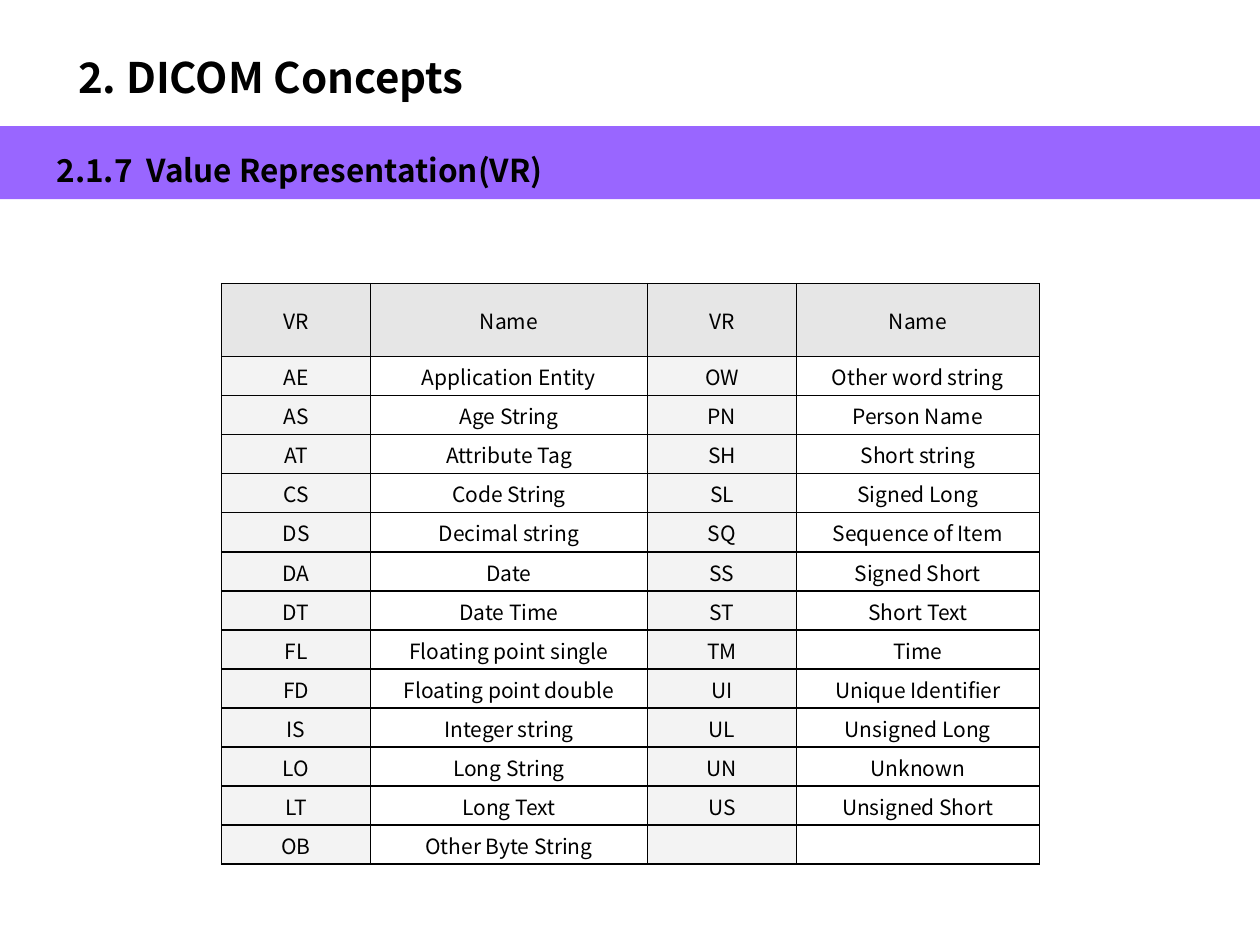
from lxml import etree
from pptx import Presentation
from pptx.dml.color import RGBColor
from pptx.enum.shapes import MSO_SHAPE
from pptx.enum.text import MSO_ANCHOR, PP_ALIGN
from pptx.oxml.ns import qn
from pptx.util import Inches, Pt

CENTER, LEFT = PP_ALIGN.CENTER, PP_ALIGN.LEFT
MIDDLE = MSO_ANCHOR.MIDDLE
RECTANGLE = MSO_SHAPE.RECTANGLE
TITLE_ONLY = 5

TITLE = "2. DICOM Concepts"
SUBTITLE = "2.1.7  Value Representation(VR)"
HEADER = ("VR", "Name")
VALUES = [
    ("AE", "Application Entity"), ("AS", "Age String"),
    ("AT", "Attribute Tag"), ("CS", "Code String"),
    ("DS", "Decimal string"), ("DA", "Date"),
    ("DT", "Date Time"), ("FL", "Floating point single"),
    ("FD", "Floating point double"), ("IS", "Integer string"),
    ("LO", "Long String"), ("LT", "Long Text"),
    ("OB", "Other Byte String"), ("OW", "Other word string"),
    ("PN", "Person Name"), ("SH", "Short string"),
    ("SL", "Signed Long"), ("SQ", "Sequence of Item"),
    ("SS", "Signed Short"), ("ST", "Short Text"),
    ("TM", "Time"), ("UI", "Unique Identifier"),
    ("UL", "Unsigned Long"), ("UN", "Unknown"),
    ("US", "Unsigned Short"),
]

FONT = "Noto Sans CJK KR"
COLORS = {"text": "000000", "band": "9966FF", "header": "E6E6E6",
          "code": "F3F3F3", "border": "000000"}
COL_WIDTHS = (1.18, 2.2, 1.18, 1.93)
HEADER_HEIGHT, ROW_HEIGHT = 0.58, 0.31
TABLE_LEFT, TABLE_TOP = 1.76, 2.25


def rgb(name):
    return RGBColor.from_string(COLORS[name])


def add_text(tf, text, size, bold=False, align=LEFT):
    p = tf.paragraphs[0]
    p.alignment = align
    r = p.add_run()
    r.text = text
    r.font.name, r.font.size, r.font.bold = FONT, Pt(size), bold
    r.font.color.rgb = rgb("text")


def add_borders(cell, width=1):
    """Draw all four edges; must run before the cell gets its fill."""
    tcPr = cell._tc.get_or_add_tcPr()
    for edge in ("a:lnL", "a:lnR", "a:lnT", "a:lnB"):
        ln = etree.SubElement(tcPr, qn(edge), w=str(Pt(width)))
        fill = etree.SubElement(ln, qn("a:solidFill"))
        etree.SubElement(fill, qn("a:srgbClr"), val=COLORS["border"])


def format_cell(cell, text, fill):
    cell.vertical_anchor = MIDDLE
    cell.margin_left = cell.margin_right = cell.margin_top = Inches(0.01)
    cell.margin_bottom = 0
    add_borders(cell)
    if fill:
        cell.fill.solid()
        cell.fill.fore_color.rgb = rgb(fill)
    else:
        cell.fill.background()
    if text:
        add_text(cell.text_frame, text, 12, align=CENTER)
    else:  # keeps an empty cell from stretching its row
        end = cell.text_frame.paragraphs[0]._p.get_or_add_endParaRPr()
        end.set("sz", "1200")


def add_value_table(s):
    half = (len(VALUES) + 1) // 2
    left, right = VALUES[:half], VALUES[half:]
    right = right + [("", "")] * (half - len(right))
    rows = [HEADER * 2] + [a + b for a, b in zip(left, right)]

    height = HEADER_HEIGHT + half * ROW_HEIGHT
    table = s.shapes.add_table(
        len(rows), len(COL_WIDTHS), Inches(TABLE_LEFT), Inches(TABLE_TOP),
        Inches(sum(COL_WIDTHS)), Inches(height)).table
    table.horz_banding = False
    table.first_row = False
    for col, width in zip(table.columns, COL_WIDTHS):
        col.width = Inches(width)
    for i, row in enumerate(rows):
        table.rows[i].height = Inches(ROW_HEIGHT if i else HEADER_HEIGHT)
        for j, text in enumerate(row):
            fill = "header" if i == 0 else "code" if j % 2 == 0 else None
            format_cell(table.cell(i, j), text, fill)


def main():
    prs = Presentation()
    prs.slide_width, prs.slide_height = Inches(10), Inches(7.5)
    s = prs.slides.add_slide(prs.slide_layouts[TITLE_ONLY])

    band = s.shapes.add_shape(RECTANGLE, 0, Inches(1), prs.slide_width, Inches(0.58))
    band.shadow.inherit = False
    band.fill.solid()
    band.fill.fore_color.rgb = rgb("band")
    band.line.fill.background()

    title = s.shapes.title
    title.left, title.top = Inches(0.52), Inches(0.36)
    title.width, title.height = Inches(3.35), Inches(0.5)
    title.text_frame.word_wrap = False
    title.text_frame.vertical_anchor = MIDDLE
    add_text(title.text_frame, TITLE, 24, bold=True)

    sp = s.shapes.add_textbox(Inches(0.35), Inches(1.15), Inches(4.65), Inches(0.4))
    sp.text_frame.word_wrap = True
    add_text(sp.text_frame, SUBTITLE, 18, bold=True)

    add_value_table(s)
    prs.save("out.pptx")


if __name__ == "__main__":
    main()
